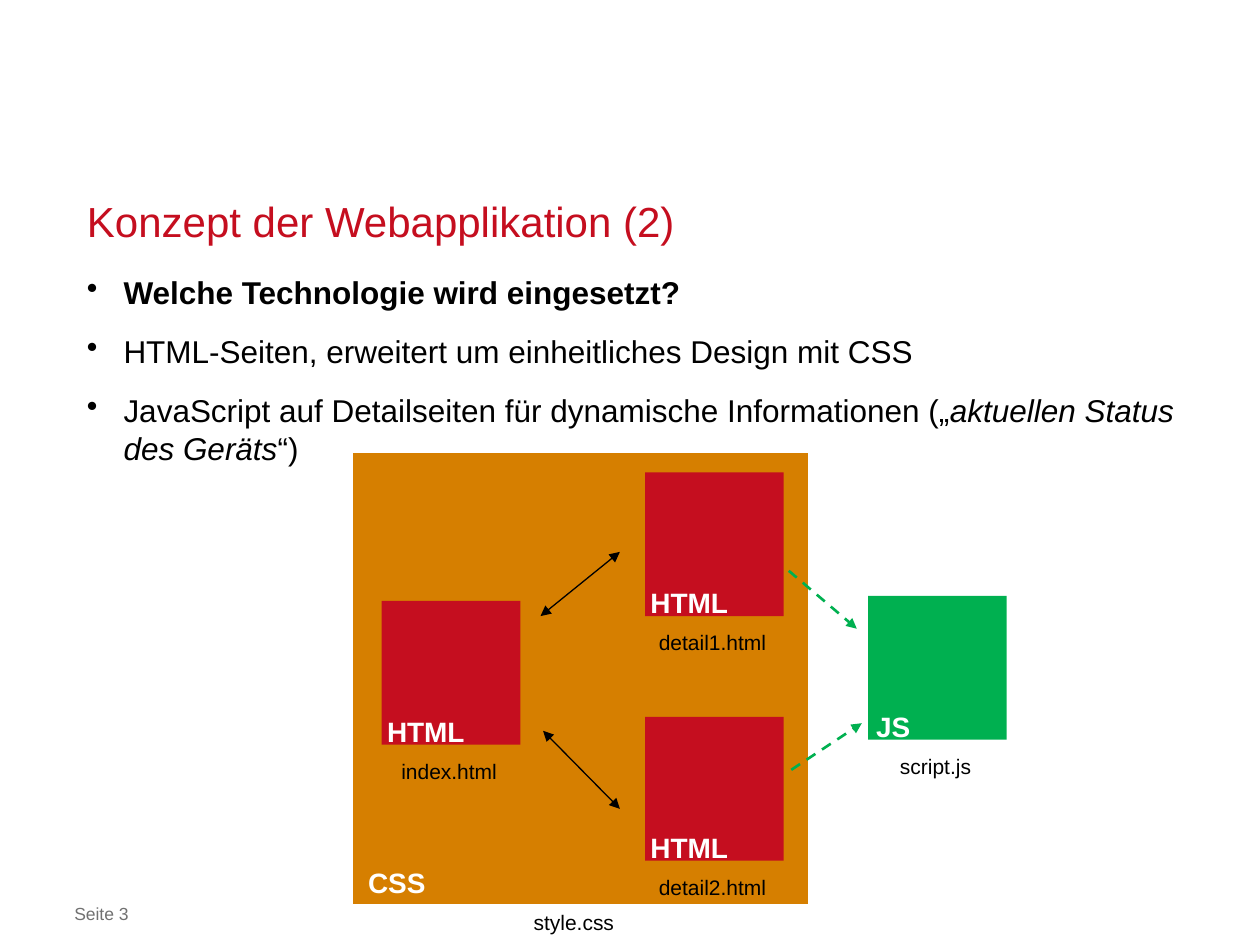
import pptx
import pptx.util
import pptx.dml.color
import pptx.enum.dml
import pptx.enum.shapes
import pptx.enum.text
import pptx.oxml
import pptx.oxml.ns

RED, GREEN, ORANGE = "C50E1F", "00B050", "D67F00"
BLACK, WHITE, GREY = "000000", "FFFFFF", "717171"
COLS, ROWS = 100, 75
ALIGN = pptx.enum.text.PP_ALIGN


def rgb(code):
    return pptx.dml.color.RGBColor.from_string(code)


class Page:
    """Style and current slide; lengths are columns and rows of a 100 x 75 grid."""

    font = "Arial"

    def __init__(self, deck):
        self.wide, self.high = deck.slide_width, deck.slide_height
        self.slide = deck.slides.add_slide(deck.slide_layouts[5])

    def area(self, x, y, w, h):
        return (self.col(x), self.row(y), self.col(w), self.row(h))

    def col(self, n):
        return round(self.wide * n / COLS)

    def row(self, n):
        return round(self.high * n / ROWS)

    def style(self, run, size, color, bold=False, italic=False):
        run.font.name, run.font.size = self.font, pptx.util.Pt(size)
        run.font.bold, run.font.italic = bold, italic
        run.font.color.rgb = rgb(color)

    def frame(self, shape, inset=0, wrap=True):
        frame = shape.text_frame
        frame.word_wrap = wrap
        frame.auto_size = pptx.enum.text.MSO_AUTO_SIZE.NONE
        frame.vertical_anchor = pptx.enum.text.MSO_ANCHOR.TOP
        frame.margin_left = frame.margin_right = self.col(inset)
        frame.margin_top = frame.margin_bottom = self.row(inset / 2)
        return frame

    def title(self, text, *spot):
        shape = self.slide.shapes.title
        shape.left, shape.top, shape.width, shape.height = self.area(*spot)
        frame = self.frame(shape)
        frame.text = text
        frame.paragraphs[0].alignment = ALIGN.LEFT
        self.style(frame.paragraphs[0].runs[0], 24, RED)

    def text(self, text, *spot, size=12, color=BLACK, bold=False,
             align=ALIGN.CENTER, inset=1, wrap=True, home=None):
        home = home or self.slide
        box = home.shapes.add_textbox(*self.area(*spot))
        frame = self.frame(box, inset, wrap)
        frame.text = text
        frame.paragraphs[0].alignment = align
        self.style(frame.paragraphs[0].runs[0], size, color, bold)

    def bullets(self, items, *spot):
        """Each item is a list of (text, bold, italic) parts."""
        frame = self.frame(self.slide.shapes.add_textbox(*self.area(*spot)))
        for i, parts in enumerate(items):
            para = frame.add_paragraph() if i else frame.paragraphs[0]
            para.line_spacing = pptx.util.Pt(22)
            para.space_after = pptx.util.Pt(11.7)
            for text, bold, italic in parts:
                run = para.add_run()
                run.text = text
                self.style(run, 18, BLACK, bold, italic)
            props = para._p.get_or_add_pPr()
            props.set("marL", str(self.col(2.9)))
            props.set("indent", str(-self.col(2.9)))
            mark = pptx.oxml.ns.qn("a:buChar")
            props.makeelement(mark)
            props.append(props.makeelement(mark, {"char": "•"}))

    def rect(self, color, *spot, edge=None, home=None):
        home = home or self.slide
        kind = pptx.enum.shapes.MSO_SHAPE.RECTANGLE
        shape = home.shapes.add_shape(kind, *self.area(*spot))
        shape.shadow.inherit = False
        shape.fill.solid()
        shape.fill.fore_color.rgb = rgb(color)
        if edge:
            shape.line.color.rgb = rgb(edge)
            shape.line.width = pptx.util.Pt(0.75)
        else:
            shape.line.fill.background()

    def file(self, kind, name, color, x, y, shift=-0.8):
        """A square with its type at the foot and the file name below."""
        group = self.slide.shapes.add_group_shape()
        self.rect(color, x, y, 11, 11.4, home=group)
        self.text(kind, x + shift, y + 8.5, 8.6, 3.7, size=16,
                  color=WHITE, bold=True, home=group)
        self.text(name, x, y + 12, 10.7, 3, wrap=False, home=group)

    def arrow(self, x1, y1, x2, y2, color=BLACK, both=True):
        kind = pptx.enum.shapes.MSO_CONNECTOR.STRAIGHT
        line = self.slide.shapes.add_connector(
            kind, self.col(x1), self.row(y1), self.col(x2), self.row(y2))
        line.line.color.rgb = rgb(color)
        line.line.width = pptx.util.Pt(0.75 if both else 1.5)
        if not both:
            line.line.dash_style = pptx.enum.dml.MSO_LINE.DASH
        stroke = line.line._get_or_add_ln()
        for end in ("headEnd", "tailEnd") if both else ("tailEnd",):
            tag = pptx.oxml.ns.qn("a:" + end)
            stroke.append(stroke.makeelement(tag, {"type": "triangle"}))
        props = line._element.spPr
        props.append(props.makeelement(pptx.oxml.ns.qn("a:effectLst")))


def main():
    deck = pptx.Presentation()
    deck.slide_width, deck.slide_height = pptx.util.Inches(10), pptx.util.Inches(7.5)
    page = Page(deck)

    # Stylesheet area behind everything
    page.rect(ORANGE, 28, 35.9, 36.2, 35.9, edge=WHITE)

    # Title and bullets
    page.title("Konzept der Webapplikation (2)", 6.9, 15.5, 87.2, 4.5)
    page.bullets([
        [("Welche Technologie wird eingesetzt?", True, False)],
        [("HTML-Seiten, erweitert um einheitliches Design mit CSS", False, False)],
        [("JavaScript auf Detailseiten für dynamische Informationen („", False, False),
         ("aktuellen Status des Geräts", False, True),
         ("“)", False, False)],
    ], 6.9, 21.6, 87.2, 18)

    # Files
    page.file("HTML", "index.html", RED, 30.3, 47.7)
    for name, y in (("detail1.html", 37.5), ("detail2.html", 56.9)):
        page.file("HTML", name, RED, 51.2, y)
    page.file("JS", "script.js", GREEN, 68.9, 47.3, shift=-2.3)

    # Links between pages, then calls to the script
    page.arrow(42.9, 48.9, 49.2, 43.8)
    page.arrow(43.1, 58, 49.2, 64.2)
    page.arrow(62.6, 45.3, 68, 49.9, GREEN, both=False)
    page.arrow(62.8, 61.1, 68.4, 57.4, GREEN, both=False)

    # Stylesheet labels and footer
    page.text("CSS", 27.2, 68.2, 8.6, 3.7, size=16, color=WHITE, bold=True)
    page.text("style.css", 41.3, 71.7, 8.5, 3, wrap=False)
    page.text("Seite 3", 5.9, 71.7, 30, 1.7, size=10, color=GREY,
              align=ALIGN.LEFT, inset=0)

    deck.save("out.pptx")


if __name__ == "__main__":
    main()
